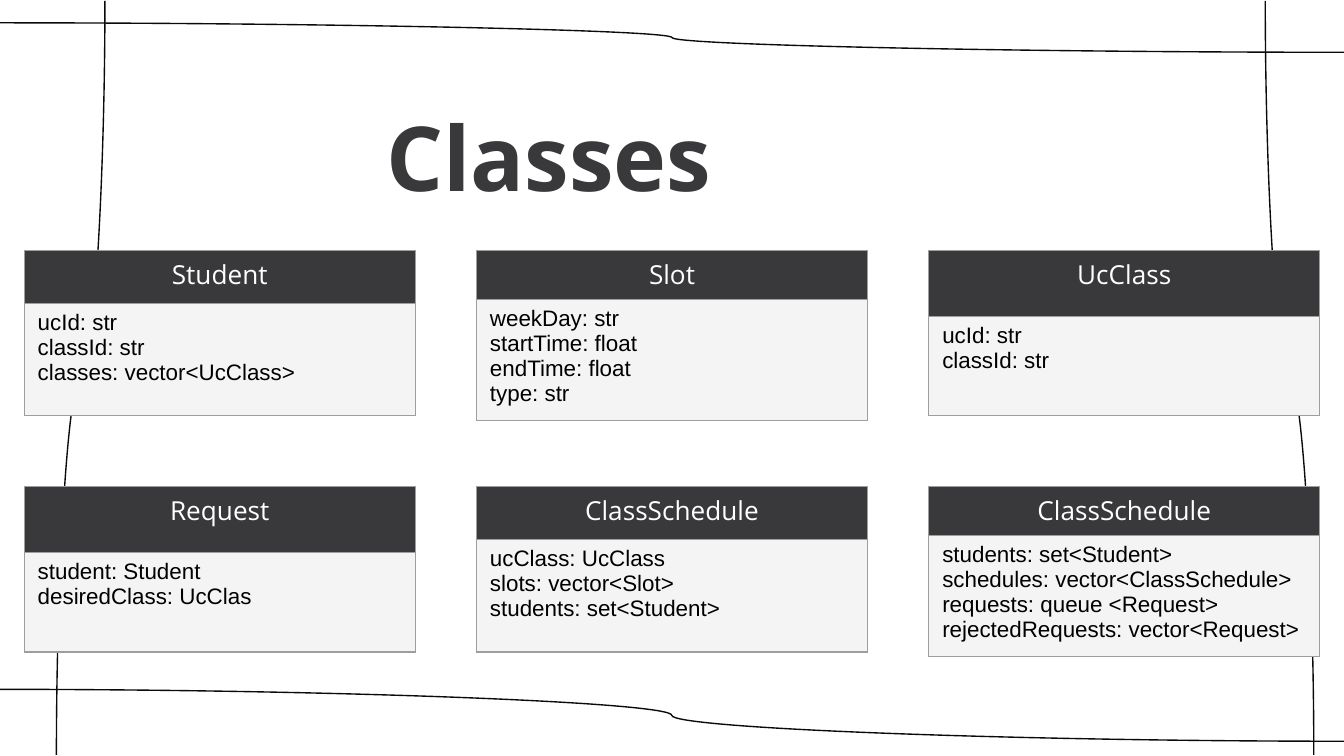
"""Build the slide "Classes": six class tables framed by four curved lines."""
from dataclasses import dataclass

from lxml import etree
from pptx import Presentation
from pptx.dml.color import RGBColor
from pptx.enum.shapes import MSO_CONNECTOR
from pptx.enum.text import MSO_ANCHOR, PP_ALIGN
from pptx.oxml.ns import qn
from pptx.util import Pt

CURVE = MSO_CONNECTOR.CURVE
MIDDLE = MSO_ANCHOR.MIDDLE
LEFT = PP_ALIGN.LEFT
CENTER = PP_ALIGN.CENTER

COLORS = {
    "curve": "0A0A0A",
    "dark": "39393B",
    "body": "F4F4F4",
    "border": "9E9E9E",
    "white": "FFFFFF",
    "black": "000000",
}
HEADING_FONT = "Open Sans"
BODY_FONT = "Arial"

GRID_LEFT, GRID_TOP = 13, 134
COLUMN_STEP, ROW_STEP = 242.3, 126.5
TABLE_WIDTH = 209.5
LINE_WIDTH = 0.75


@dataclass(frozen=True)
class FrameCurve:
    left: float
    top: float
    width: float
    height: float
    rotation: int
    flipped: bool = False


@dataclass(frozen=True)
class ClassTable:
    column: int
    row: int
    name: str
    fields: tuple[str, ...]
    header_height: float
    body_height: float


CURVES = (
    FrameCurve(-2.6, 12.2, 725.2, 15.8, 180),
    FrameCurve(488.8, 189.5, 404, 26, 270, flipped=True),
    FrameCurve(-2, 369.3, 723.7, 27.8, 180),
    FrameCurve(-158.8, 189.5, 404, 26, 90),
)

TABLES = (
    ClassTable(0, 0, "Student", ("ucId: str", "classId: str", "classes: vector<UcClass>"), 28.5, 60.3),
    ClassTable(2, 0, "UcClass", ("ucId: str", "classId: str"), 35.5, 53.3),
    ClassTable(1, 0, "Slot", ("weekDay: str", "startTime: float", "endTime: float", "type: str"), 26.3, 60.9),
    ClassTable(0, 1, "Request", ("student: Student", "desiredClass: UcClas"), 35.5, 53.3),
    ClassTable(1, 1, "ClassSchedule",
               ("ucClass: UcClass", "slots: vector<Slot>", "students: set<Student>"), 28.5, 60.3),
    ClassTable(2, 1, "ClassSchedule",
               ("students: set<Student>", "schedules: vector<ClassSchedule>",
                "requests: queue <Request>", "rejectedRequests: vector<Request>"), 26.3, 60.9),
)


def rgb(name: str) -> RGBColor:
    return RGBColor.from_string(COLORS[name])


def write_text(frame, *lines: str, font: str, size: float, color: str,
               bold: bool = False, align=LEFT) -> None:
    for index, line in enumerate(lines):
        para = frame.paragraphs[0] if index == 0 else frame.add_paragraph()
        para.alignment = align
        span = para.add_run()
        span.text = line
        span.font.name = font
        span.font.size = Pt(size)
        span.font.bold = bold
        span.font.color.rgb = rgb(color)


def draw_curve(page, curve: FrameCurve) -> None:
    connector = page.shapes.add_connector(
        CURVE, Pt(curve.left), Pt(curve.top),
        Pt(curve.left + curve.width), Pt(curve.top + curve.height))
    connector.line.color.rgb = rgb("curve")
    connector.line.width = Pt(LINE_WIDTH)
    properties = connector._element.spPr
    etree.SubElement(properties, qn("a:effectLst"))
    transform = properties.find(qn("a:xfrm"))
    transform.set("rot", str(curve.rotation * 60000))
    if curve.flipped:
        transform.set("flipH", "1")


def style_cell(cell, fill: str) -> None:
    properties = cell._tc.get_or_add_tcPr()
    for side in ("L", "R", "T", "B"):
        border = etree.SubElement(properties, qn(f"a:ln{side}"), w=str(Pt(LINE_WIDTH)))
        solid = etree.SubElement(border, qn("a:solidFill"))
        etree.SubElement(solid, qn("a:srgbClr"), val=COLORS["border"])
    cell.fill.solid()
    cell.fill.fore_color.rgb = rgb(fill)


def draw_table(page, item: ClassTable) -> None:
    table = page.shapes.add_table(
        2, 1, Pt(GRID_LEFT + item.column * COLUMN_STEP), Pt(GRID_TOP + item.row * ROW_STEP),
        Pt(TABLE_WIDTH), Pt(item.header_height + item.body_height)).table
    table.first_row = False
    table.horz_banding = False
    table.rows[0].height = Pt(item.header_height)
    table.rows[1].height = Pt(item.body_height)
    header, body = table.cell(0, 0), table.cell(1, 0)
    style_cell(header, "dark")
    style_cell(body, "body")
    write_text(header.text_frame, item.name, font=HEADING_FONT, size=14, color="white", align=CENTER)
    write_text(body.text_frame, *item.fields, font=BODY_FONT, size=12, color="black")


def draw_title(page) -> None:
    box = page.shapes.add_textbox(Pt(68.4), Pt(50.4), Pt(451.4), Pt(66.2))
    frame = box.text_frame
    frame.word_wrap = True
    frame.vertical_anchor = MIDDLE
    frame.margin_left = frame.margin_right = frame.margin_top = frame.margin_bottom = Pt(7.2)
    write_text(frame, "Classes", font=HEADING_FONT, size=48, color="dark", bold=True, align=CENTER)


def main() -> None:
    deck = Presentation()
    deck.slide_width, deck.slide_height = Pt(720), Pt(405)
    page = deck.slides.add_slide(deck.slide_layouts[6])
    for curve in CURVES:
        draw_curve(page, curve)
    draw_title(page)
    for item in TABLES:
        draw_table(page, item)
    deck.save("out.pptx")


if __name__ == "__main__":
    main()
